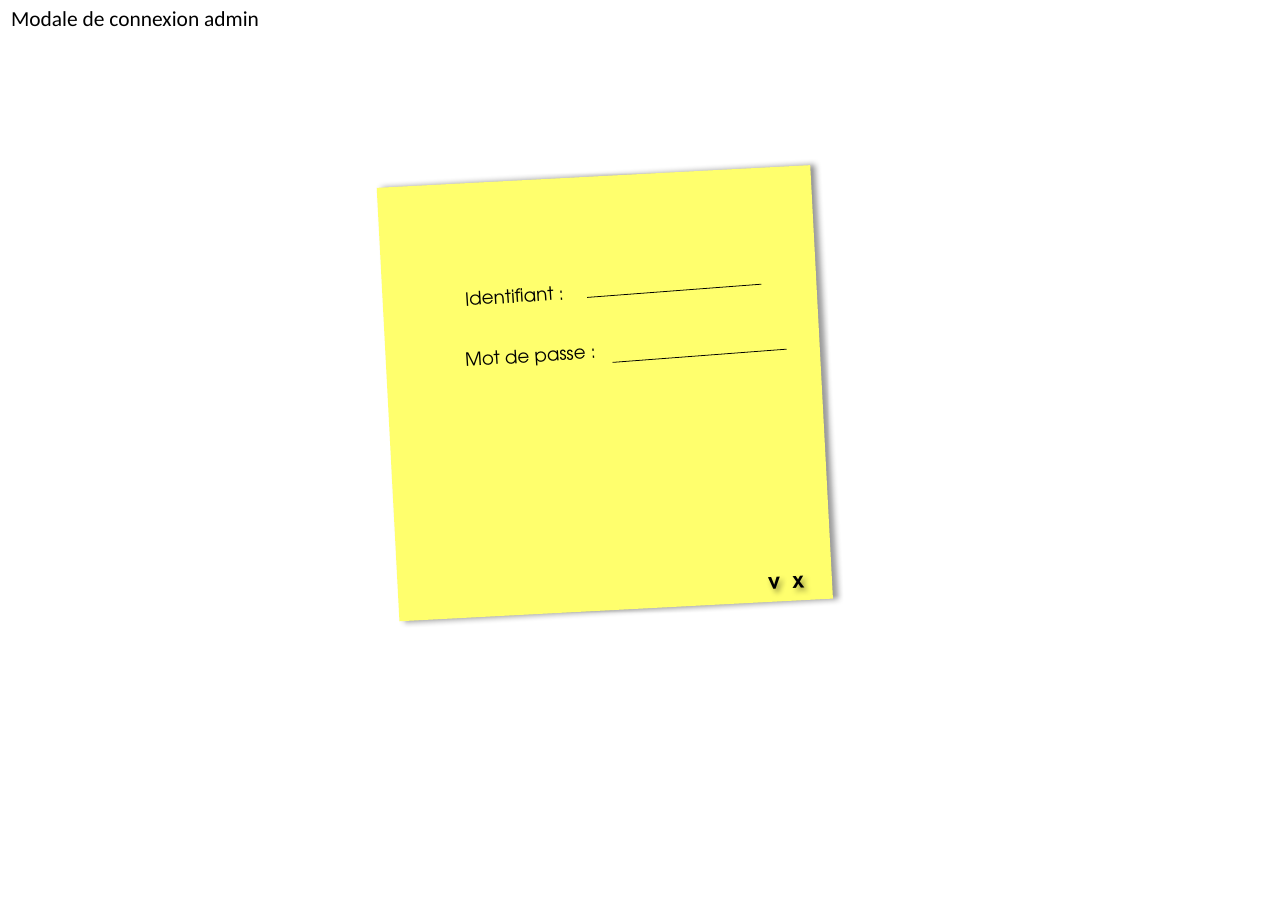
from dataclasses import dataclass

from lxml import etree
from pptx import Presentation
from pptx.dml.color import RGBColor
from pptx.enum.shapes import MSO_CONNECTOR, MSO_SHAPE
from pptx.enum.text import MSO_ANCHOR, MSO_AUTO_SIZE, PP_ALIGN
from pptx.oxml.ns import qn
from pptx.util import Inches, Pt

LEFT, CENTER = PP_ALIGN.LEFT, PP_ALIGN.CENTER
TOP = MSO_ANCHOR.TOP
FIT = MSO_AUTO_SIZE.SHAPE_TO_FIT_TEXT
RECT = MSO_SHAPE.RECTANGLE
STRAIGHT = MSO_CONNECTOR.STRAIGHT

COLORS = {"ink": "000000", "note": "FFFF6D", "page": "FFFFFF"}
NOTE_FONT = "TeX Gyre Adventor"
LINE_W, LINE_RISE = 1.58, 0.12


@dataclass
class Field:
    label: str
    top: float
    line_x: float
    line_y: float


FIELDS = [
    Field("Identifiant :", 2.48, 5.33, 2.7),
    Field("Mot de passe :", 3.03, 5.56, 3.29),
]


def color(name: str) -> RGBColor:
    return RGBColor.from_string(COLORS[name])


def place(shape, x: float, y: float, w: float, h: float) -> None:
    shape.left, shape.top = Inches(x), Inches(y)
    shape.width, shape.height = Inches(w), Inches(h)


def write(shape, text: str, font: str, size: int,
          bold: bool = False, align=LEFT) -> None:
    frame = shape.text_frame
    frame.text = text
    frame.word_wrap = True
    frame.auto_size = FIT
    frame.vertical_anchor = TOP
    para = frame.paragraphs[0]
    para.alignment = align
    para.font.name, para.font.size = font, Pt(size)
    para.font.bold = bold
    para.font.color.rgb = color("ink")


def add_label(slide, text: str, x: float, y: float, w: float, h: float,
              turn: float, size: int, bold: bool = False, align=LEFT):
    box = slide.shapes.add_textbox(0, 0, 0, 0)
    write(box, text, NOTE_FONT, size, bold, align)
    place(box, x, y, w, h)
    box.rotation = turn
    return box


def cast_shadow(shape, angle: int) -> None:
    """Add a soft outer shadow falling at the given angle in degrees."""
    shape.shadow.inherit = False
    effects = shape._element.spPr.find(qn("a:effectLst"))
    outer = etree.SubElement(
        effects, qn("a:outerShdw"), blurRad=str(Pt(4)), dist=str(Pt(3)),
        dir=str(angle * 60000), algn="l", rotWithShape="0")
    tint = etree.SubElement(outer, qn("a:srgbClr"), val=COLORS["ink"])
    etree.SubElement(tint, qn("a:alpha"), val="40000")


def add_field(slide, field: Field) -> None:
    add_label(slide, field.label, 4.12, field.top, 2.78, 0.3, 356.3, 12)
    line = slide.shapes.add_connector(
        STRAIGHT, Inches(field.line_x), Inches(field.line_y),
        Inches(field.line_x + LINE_W), Inches(field.line_y - LINE_RISE))
    line.line.color.rgb = color("ink")
    line.line.width = Pt(0.5)
    etree.SubElement(line._element.spPr, qn("a:effectLst"))


def main() -> None:
    deck = Presentation()
    deck.slide_width, deck.slide_height = Inches(11.69), Inches(8.27)
    slide = deck.slides.add_slide(deck.slide_layouts.get_by_name("Title Only"))
    slide.background.fill.solid()
    slide.background.fill.fore_color.rgb = color("page")

    title = slide.shapes.title
    write(title, "Modale de connexion admin", "Calibri", 14)
    place(title, 0, 0, 4.4, 0.34)

    note = slide.shapes.add_shape(RECT, 0, 0, 0, 0)
    place(note, 3.52, 1.6, 3.94, 3.94)
    note.rotation = 357
    note.fill.solid()
    note.fill.fore_color.rgb = color("note")
    note.line.fill.background()
    cast_shadow(note, 0)

    keys = add_label(slide, "v  x", 6.73, 5.1, 0.81, 0.34, 357.2, 14,
                     bold=True, align=CENTER)
    cast_shadow(keys, 45)

    for field in FIELDS:
        add_field(slide, field)

    deck.save("out.pptx")


if __name__ == "__main__":
    main()
